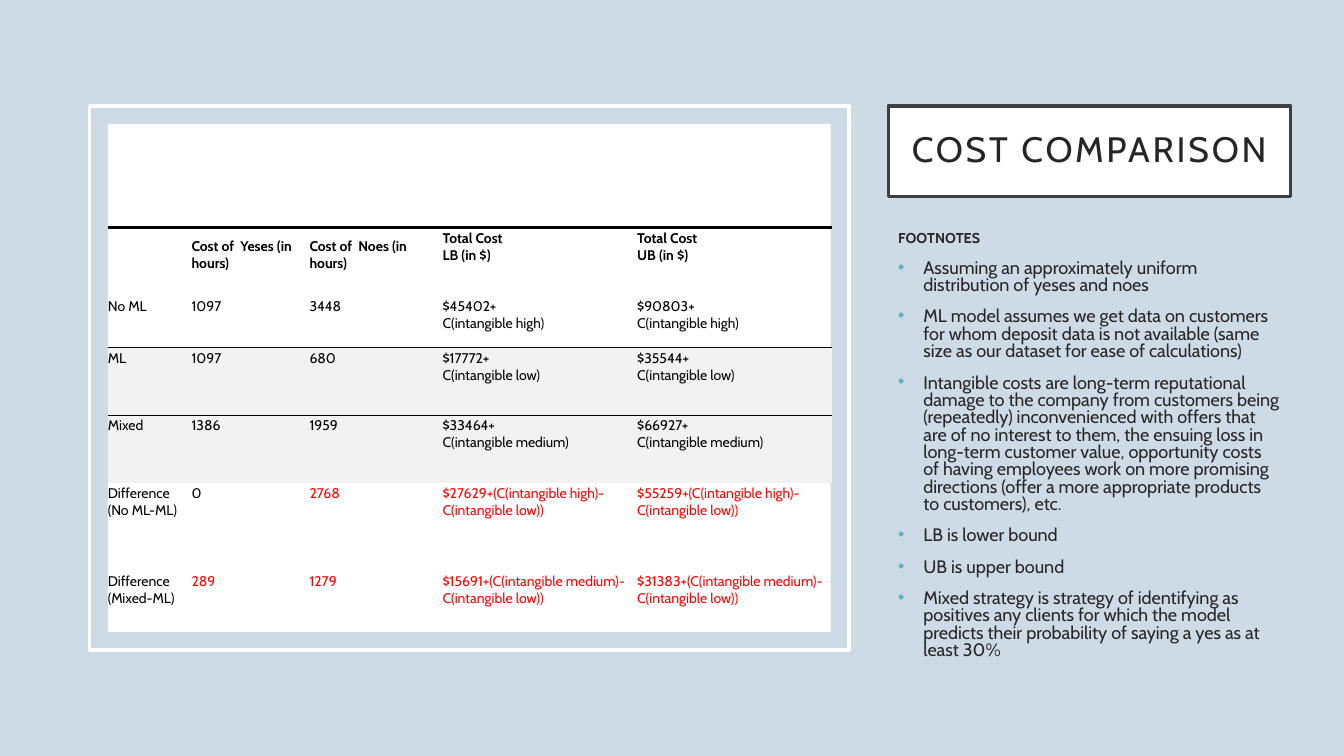
from lxml import etree
from pptx import Presentation
from pptx.dml.color import RGBColor
from pptx.enum.shapes import MSO_SHAPE
from pptx.enum.text import MSO_ANCHOR, PP_ALIGN
from pptx.oxml.ns import qn
from pptx.util import Inches, Pt

RECT = MSO_SHAPE.RECTANGLE
TOP, MIDDLE = MSO_ANCHOR.TOP, MSO_ANCHOR.MIDDLE
CENTER = PP_ALIGN.CENTER
FONT = "Cabin"
PLAIN_STYLE = "{2D5ABB26-0587-4C30-8999-92F81FD0307C}"
COLORS = {"back": "CEDBE6", "white": "FFFFFF", "frame": "404040", "text": "262626",
          "black": "000000", "red": "FF0000", "band": "F2F2F2", "bullet": "58B6C0"}

COLS = [0.83, 1.17, 1.32, 1.93, 1.93]
ROWS = [0.68, 0.51, 0.67, 0.67, 0.88, 0.88]
COSTS = [
    ["", "Cost of  Yeses (in hours)", "Cost of  Noes (in hours)",
     "Total Cost\nLB (in $)", "Total Cost\nUB (in $)"],
    ["No ML", "1097", "3448", "$45402+\nC(intangible high)", "$90803+\nC(intangible high)"],
    ["ML", "1097", "680", "$17772+\nC(intangible low)", "$35544+\nC(intangible low)"],
    ["Mixed", "1386", "1959", "$33464+\nC(intangible medium)",
     "$66927+\nC(intangible medium)"],
    ["Difference\n(No ML-ML)", "0", "2768", "$27629+(C(intangible high)-C(intangible low))",
     "$55259+(C(intangible high)-C(intangible low))"],
    ["Difference\n(Mixed-ML)", "289", "1279",
     "$15691+(C(intangible medium)-C(intangible low))",
     "$31383+(C(intangible medium)-C(intangible low))"],
]
BANDS = {2, 3}
DIFFS = {4, 5}
RULES = {0: ("a:lnT", 2.25), 1: ("a:lnB", 0.5), 2: ("a:lnT", 0.5)}
NOTES = [
    "Assuming an approximately uniform distribution of yeses and noes",
    "ML model assumes we get data on customers for whom deposit data is not available "
    "(same size as our dataset for ease of calculations)",
    "Intangible costs are long-term reputational damage to the company from customers "
    "being (repeatedly) inconvenienced with offers that are of no interest to them, the "
    "ensuing loss in long-term customer value, opportunity costs of having employees work "
    "on more promising directions (offer a more appropriate products to customers), etc.",
    "LB is lower bound",
    "UB is upper bound",
    "Mixed strategy is strategy of identifying as positives any clients for which the model "
    "predicts their probability of saying a yes as at least 30%",
]


def color(name):
    return RGBColor.from_string(COLORS[name])


def add_run(para, text, size, tint, bold=False):
    run = para.add_run()
    run.text = text
    font = run.font
    font.name, font.size, font.bold = FONT, Pt(size), bold
    font.color.rgb = color(tint)
    return run


def add_rect(slide, box, fill=None, line=None):
    rect = slide.shapes.add_shape(RECT, *map(Inches, box))
    rect.shadow.inherit = False
    if fill:
        rect.fill.solid()
        rect.fill.fore_color.rgb = color(fill)
    else:
        rect.fill.background()
    if line:
        rect.line.color.rgb = color(line)
        rect.line.width = Pt(2.5)
    else:
        rect.line.fill.background()
    return rect


def add_title(slide, text):
    frame = add_rect(slide, (8.81, 1.05, 3.99, 0.9), "white", "frame").text_frame
    frame.word_wrap = True
    frame.vertical_anchor = MIDDLE
    frame.margin_left = frame.margin_right = Inches(0.2)
    frame.margin_top = frame.margin_bottom = Inches(0.2)
    para = frame.paragraphs[0]
    para.alignment, para.line_spacing = CENTER, 0.9
    run = add_run(para, text, 25.2, "text")
    run.font._element.set("spc", "200")


def add_bullet(para):
    props = para._p.get_or_add_pPr()
    props.set("marL", str(Inches(0.25)))
    props.set("indent", str(Inches(-0.25)))
    tint = etree.SubElement(props, qn("a:buClr"))
    etree.SubElement(tint, qn("a:srgbClr"), val=COLORS["bullet"])
    etree.SubElement(props, qn("a:buFont"), typeface="Arial")
    etree.SubElement(props, qn("a:buChar"), char="•")


def add_notes(slide, head, notes):
    box = slide.shapes.add_textbox(*map(Inches, (8.81, 2.26, 3.99, 4.6)))
    frame = box.text_frame
    frame.word_wrap = True
    add_run(frame.paragraphs[0], head, 10.2, "text", True)
    for note in notes:
        para = frame.add_paragraph()
        add_run(para, note, 12.9, "text")
    for i, para in enumerate(frame.paragraphs):
        para.line_spacing, para.space_before = 0.8, Pt(10)
        if i:
            add_bullet(para)


def add_rule(cell, tag, width):
    """Draw one black border; borders come before the fill in the cell."""
    line = etree.Element(qn(tag), w=str(Pt(width)))
    fill = etree.SubElement(line, qn("a:solidFill"))
    etree.SubElement(fill, qn("a:srgbClr"), val=COLORS["black"])
    cell._tc.get_or_add_tcPr().insert(0, line)


def fill_cell(cell, text, row, col):
    cell.margin_left, cell.margin_right = 0, Inches(0.05)
    cell.margin_top, cell.margin_bottom = Inches(0.02), Inches(0.15)
    cell.vertical_anchor = MIDDLE if row == 0 and col < 3 else TOP
    if row in BANDS:
        cell.fill.solid()
        cell.fill.fore_color.rgb = color("band")
    else:
        cell.fill.background()
    if row in RULES:
        add_rule(cell, *RULES[row])
    if not text:
        return
    tint = "red" if row in DIFFS and col > 0 and text != "0" else "black"
    frame = cell.text_frame
    for i, part in enumerate(text.split("\n")):
        para = frame.add_paragraph() if i else frame.paragraphs[0]
        add_run(para, part, 10, tint, row == 0)


def add_costs(slide):
    box = (1.07, 2.26, sum(COLS), sum(ROWS))
    table = slide.shapes.add_table(len(ROWS), len(COLS), *map(Inches, box)).table
    table.first_row = table.horz_banding = False
    table._tbl.tblPr.find(qn("a:tableStyleId")).text = PLAIN_STYLE
    for col, width in zip(table.columns, COLS):
        col.width = Inches(width)
    for r, (height, texts) in enumerate(zip(ROWS, COSTS)):
        table.rows[r].height = Inches(height)
        for c, text in enumerate(texts):
            fill_cell(table.cell(r, c), text, r, c)


def main():
    deck = Presentation()
    deck.slide_width, deck.slide_height = Inches(13.33), Inches(7.5)
    slide = deck.slides.add_slide(deck.slide_layouts[6])
    slide.background.fill.solid()
    slide.background.fill.fore_color.rgb = color("back")
    add_title(slide, "COST COMPARISON")
    add_rect(slide, (0.89, 1.05, 7.53, 5.4), line="white")
    add_rect(slide, (1.07, 1.23, 7.17, 5.04), "white")
    add_notes(slide, "FOOTNOTES", NOTES)
    add_costs(slide)
    deck.save("out.pptx")


if __name__ == "__main__":
    main()
